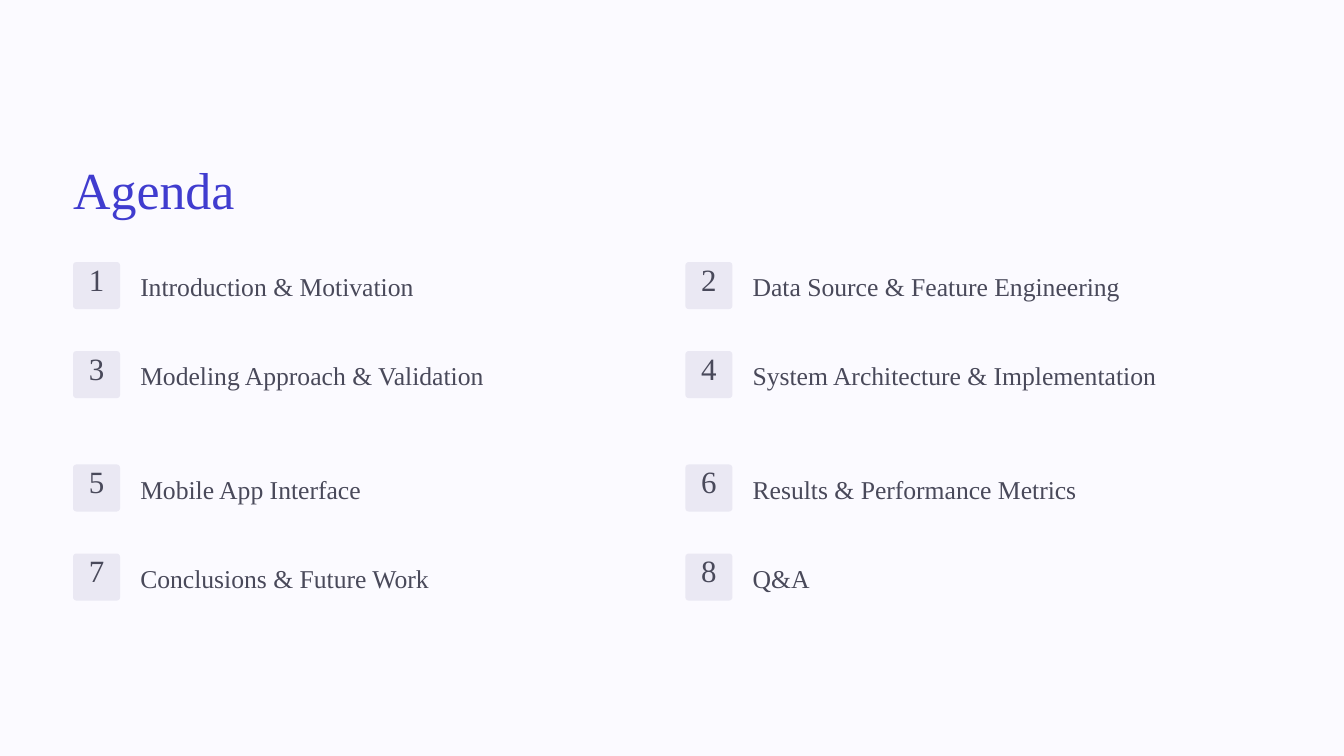
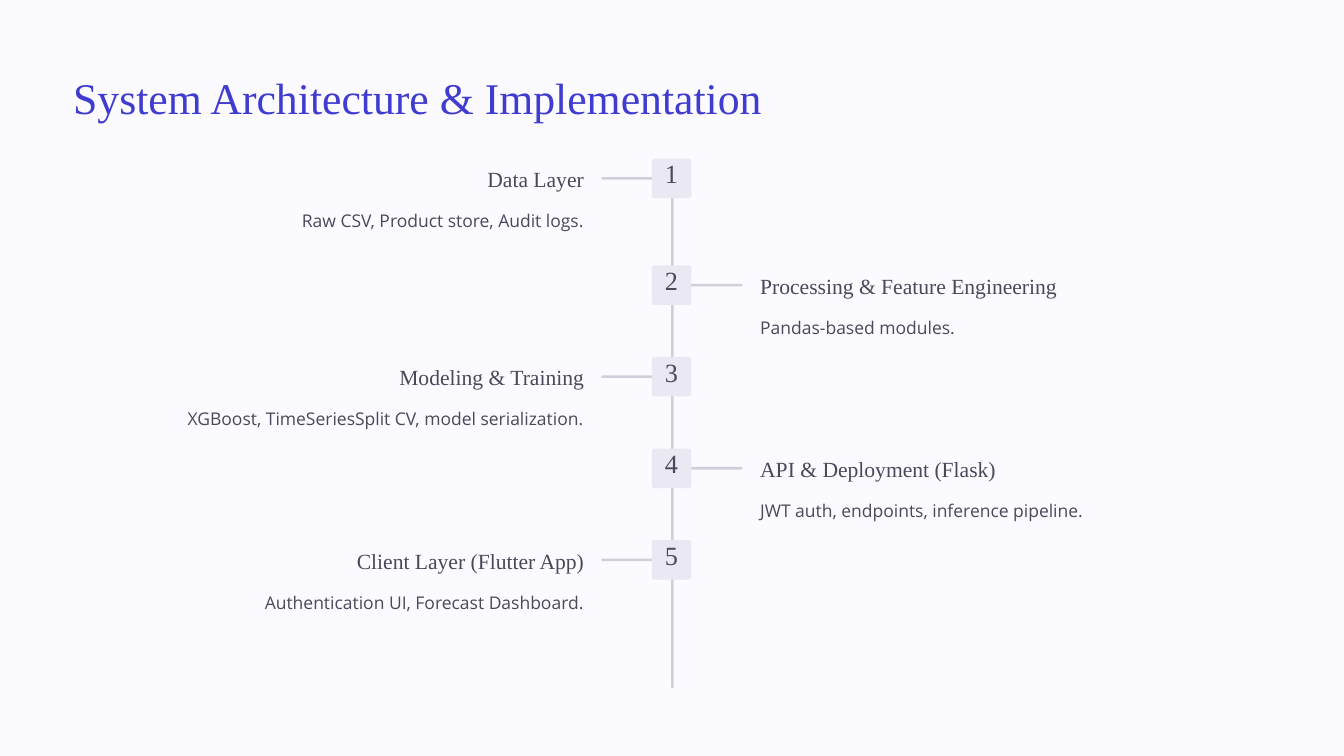
from pptx import Presentation
from pptx.dml.color import RGBColor
from pptx.enum.shapes import MSO_SHAPE
from pptx.enum.text import MSO_ANCHOR, MSO_AUTO_SIZE, PP_ALIGN
from pptx.util import Emu, Pt

ROUNDED = MSO_SHAPE.ROUNDED_RECTANGLE
LEFT, CENTER, RIGHT = PP_ALIGN.LEFT, PP_ALIGN.CENTER, PP_ALIGN.RIGHT
TOP = MSO_ANCHOR.TOP
FIXED_SIZE = MSO_AUTO_SIZE.NONE

EMU_PER_PX = 9144  # 100 px to the inch
COLORS = {
    "background": "FBFAFF",
    "title": "403CCF",
    "text": "49495A",
    "badge": "EAE8F3",
    "line": "D0CED9",
}
SERIF, SANS = "Times New Roman", "Open Sans"
MARGIN = 87
TITLE_ONLY = 5

AGENDA = [
    "Introduction & Motivation", "Data Source & Feature Engineering",
    "Modeling Approach & Validation", "System Architecture & Implementation",
    "Mobile App Interface", "Results & Performance Metrics",
    "Conclusions & Future Work", "Q&A",
]
AGENDA_COLUMNS = (MARGIN, 816)
AGENDA_ROWS = (312, 418, 553, 659)
AGENDA_BADGE = 56

LAYERS = [
    ("Data Layer", "Raw CSV, Product store, Audit logs."),
    ("Processing & Feature Engineering", "Pandas-based modules."),
    ("Modeling & Training", "XGBoost, TimeSeriesSplit CV, model serialization."),
    ("API & Deployment (Flask)", "JWT auth, endpoints, inference pipeline."),
    ("Client Layer (Flutter App)", "Authentication UI, Forecast Dashboard."),
]
LAYER_TOPS = (189, 316, 425, 534, 643)
LAYER_BADGE = 47
LAYER_TEXT_WIDTH = 608


def px(value):
    return Emu(value * EMU_PER_PX)


def rgb(name):
    return RGBColor.from_string(COLORS[name])


def write(shape, text, *, size, spacing, font=SERIF, color="text", align=LEFT, inset_top=0):
    """Put one paragraph into a shape, with exact line spacing in points."""
    frame = shape.text_frame
    frame.text = text
    frame.word_wrap = True
    frame.auto_size = FIXED_SIZE
    frame.vertical_anchor = TOP
    frame.margin_left = frame.margin_right = frame.margin_bottom = 0
    frame.margin_top = px(inset_top)
    paragraph = frame.paragraphs[0]
    paragraph.alignment = align
    paragraph.line_spacing = Pt(spacing)
    paragraph.font.size = Pt(size)
    paragraph.font.name = font
    paragraph.font.color.rgb = rgb(color)


def add_label(slide, text, left, top, width, height, **text_format):
    label = slide.shapes.add_textbox(px(left), px(top), px(width), px(height))
    write(label, text, **text_format)


def add_block(slide, left, top, width, height, *, color, rounding):
    block = slide.shapes.add_shape(ROUNDED, px(left), px(top), px(width), px(height))
    block.adjustments[0] = rounding
    block.shadow.inherit = False
    block.fill.solid()
    block.fill.fore_color.rgb = rgb(color)
    block.line.fill.background()
    return block


def add_line(slide, left, top, width, height):
    """Draw a thin bar with fully rounded ends."""
    add_block(slide, left, top, width, height, color="line", rounding=0.5)


def add_badge(slide, number, left, top, side, size):
    badge = add_block(slide, left, top, side, side, color="badge", rounding=0.07)
    write(badge, str(number), size=size, spacing=size, align=CENTER, inset_top=4)


def add_titled_slide(prs, text, top, width, height, **text_format):
    slide = prs.slides.add_slide(prs.slide_layouts[TITLE_ONLY])
    title = slide.shapes.title
    title.left, title.top = px(MARGIN), px(top)
    title.width, title.height = px(width), px(height)
    write(title, text, color="title", **text_format)
    return slide


def build_agenda(prs):
    slide = add_titled_slide(prs, "Agenda", 185, 620, 78, size=44.5, spacing=55.5)
    for index, topic in enumerate(AGENDA):
        row, column = divmod(index, len(AGENDA_COLUMNS))
        left, top = AGENDA_COLUMNS[column], AGENDA_ROWS[row]
        add_badge(slide, index + 1, left, top, AGENDA_BADGE, 26.5)
        add_label(slide, topic, left + 80, top + 9, 617, 39, size=22, spacing=27.5)


def build_architecture(prs):
    slide = add_titled_slide(prs, "System Architecture & Implementation",
                             81, 1065, 66, size=37.5, spacing=47)
    add_line(slide, 799, LAYER_TOPS[0], 3, 630)
    for index, (heading, detail) in enumerate(LAYERS):
        top = LAYER_TOPS[index]
        if index % 2 == 0:
            branch_left, text_left, align = 716, MARGIN, RIGHT
        else:
            branch_left, text_left, align = 821, 905, LEFT
        add_line(slide, branch_left, top + 22, 63, 3)
        add_badge(slide, index + 1, 776, top, LAYER_BADGE, 22.5)
        add_label(slide, heading, text_left, top + 7, LAYER_TEXT_WIDTH, 33,
                  size=18.5, spacing=23.5, align=align)
        add_label(slide, detail, text_left, top + 53, LAYER_TEXT_WIDTH, 34,
                  size=15, spacing=24, font=SANS, align=align)


def main():
    prs = Presentation()
    prs.slide_width, prs.slide_height = px(1600), px(900)
    background = prs.slide_master.background.fill
    background.solid()
    background.fore_color.rgb = rgb("background")
    build_agenda(prs)
    build_architecture(prs)
    prs.save("out.pptx")


if __name__ == "__main__":
    main()
